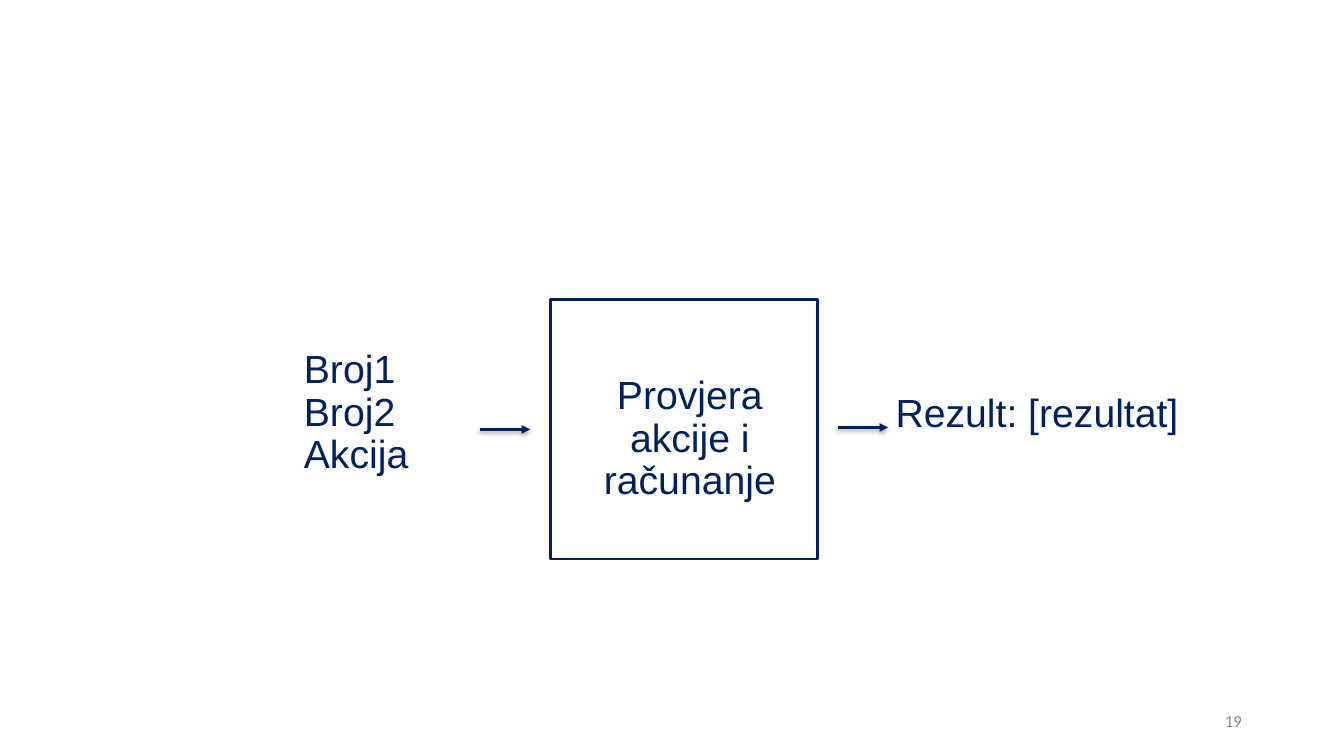
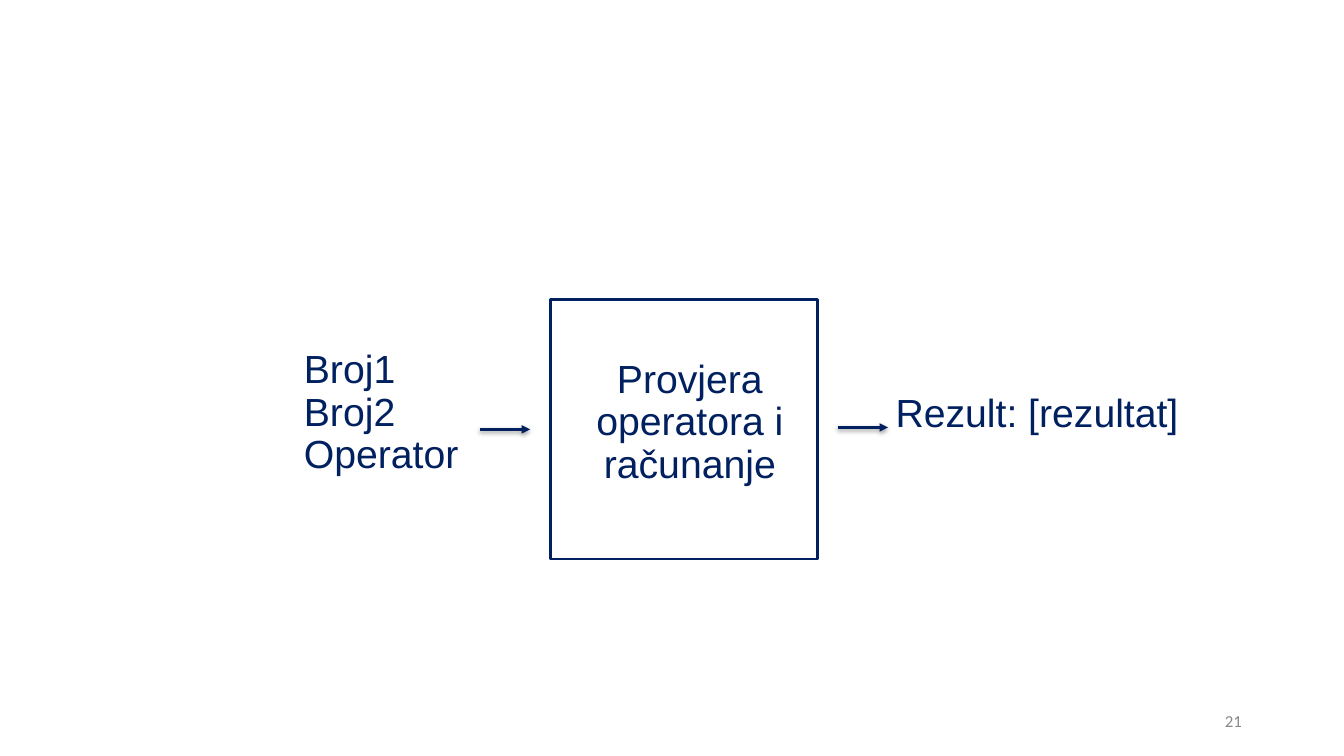
from dataclasses import dataclass

from lxml import etree
from pptx import Presentation
from pptx.dml.color import RGBColor
from pptx.enum.shapes import MSO_CONNECTOR, MSO_SHAPE
from pptx.enum.text import MSO_ANCHOR, PP_ALIGN
from pptx.oxml import parse_xml
from pptx.oxml.ns import nsdecls, qn
from pptx.util import Cm, Pt

LEFT, CENTER, RIGHT = PP_ALIGN.LEFT, PP_ALIGN.CENTER, PP_ALIGN.RIGHT
TOP, MIDDLE = MSO_ANCHOR.TOP, MSO_ANCHOR.MIDDLE
STRAIGHT = MSO_CONNECTOR.STRAIGHT
RECTANGLE = MSO_SHAPE.RECTANGLE


@dataclass(frozen=True)
class Theme:
    navy: RGBColor = RGBColor(0x00, 0x20, 0x60)
    gray: RGBColor = RGBColor(0x88, 0x88, 0x88)
    body_font: str = "Arial"
    number_font: str = "Calibri"
    body_size: Pt = Pt(28)
    number_size: Pt = Pt(12)
    line_width: Pt = Pt(2)
    line_spacing: float = 0.9
    indent: Cm = Cm(0.3)


THEME = Theme()

BOX_LEFT, BOX_TOP, BOX_WIDTH, BOX_HEIGHT = Cm(13.87), Cm(7.54), Cm(6.73), Cm(6.55)
TEXT_HEIGHT = Cm(4.27)
ARROW_LENGTH, ARROW_GAP = Cm(1.27), Cm(0.51)

ARROW_SHADOW = (
    f'<a:effectLst {nsdecls("a")}>'
    '<a:outerShdw blurRad="40000" dist="20000" dir="5400000" rotWithShape="0">'
    '<a:srgbClr val="000000"><a:alpha val="38000"/></a:srgbClr>'
    "</a:outerShdw></a:effectLst>"
)

# Slide number, input lines, process label, top of the process label
DIAGRAMS = [
    ("19", "Broj1\nBroj2\nAkcija", "Provjera akcije i računanje", Cm(9.35)),
    ("21", "Broj1\nBroj2\nOperator", "Provjera operatora i računanje", Cm(8.94)),
]


def add_text(slide, text, left, top, width, height, *, font=THEME.body_font,
             size=THEME.body_size, color=THEME.navy, align=LEFT, anchor=TOP,
             indent=THEME.indent, line_spacing=THEME.line_spacing):
    """Add one paragraph; a newline in the text becomes a line break."""
    frame = slide.shapes.add_textbox(left, top, width, height).text_frame
    frame.word_wrap = True
    frame.vertical_anchor = anchor
    paragraph = frame.paragraphs[0]
    paragraph.text = text
    paragraph.alignment = align
    paragraph.line_spacing = line_spacing
    properties = paragraph._p.get_or_add_pPr()
    properties.set("marL", str(indent))
    properties.set("indent", "0")
    for run in paragraph.runs:
        run.font.name = font
        run.font.size = size
        run.font.color.rgb = color


def style_line(line):
    line.color.rgb = THEME.navy
    line.width = THEME.line_width


def add_process_box(slide):
    shape = slide.shapes.add_shape(RECTANGLE, BOX_LEFT, BOX_TOP, BOX_WIDTH, BOX_HEIGHT)
    shape.shadow.inherit = False
    shape.fill.background()
    style_line(shape.line)


def add_arrow(slide, left, top):
    arrow = slide.shapes.add_connector(STRAIGHT, left, top, left + ARROW_LENGTH, top)
    style_line(arrow.line)
    etree.SubElement(arrow.line._get_or_add_ln(), qn("a:tailEnd"), type="triangle")
    arrow._element.spPr.append(parse_xml(ARROW_SHADOW))


def add_slide_number(slide, number):
    add_text(slide, number, Cm(23.93), Cm(17.65), Cm(7.62), Cm(1.02),
             font=THEME.number_font, size=THEME.number_size, color=THEME.gray,
             align=RIGHT, anchor=MIDDLE, indent=Cm(0), line_spacing=1.0)


def add_diagram_slide(presentation, number, inputs, process, process_top):
    slide = presentation.slides.add_slide(presentation.slide_layouts[6])
    add_slide_number(slide, number)
    add_process_box(slide)
    add_text(slide, inputs, Cm(7.11), Cm(8.69), Cm(6.3), TEXT_HEIGHT)
    add_text(slide, process, BOX_LEFT, process_top, BOX_WIDTH, TEXT_HEIGHT, align=CENTER)
    add_text(slide, "Rezult: [rezultat]", Cm(22.02), Cm(9.8), Cm(9.09), Cm(2.01))
    add_arrow(slide, BOX_LEFT - ARROW_GAP - ARROW_LENGTH, Cm(10.82))
    add_arrow(slide, BOX_LEFT + BOX_WIDTH + ARROW_GAP, Cm(10.77))


def main():
    presentation = Presentation()
    presentation.slide_width = Cm(33.87)
    presentation.slide_height = Cm(19.05)
    for diagram in DIAGRAMS:
        add_diagram_slide(presentation, *diagram)
    presentation.save("out.pptx")


if __name__ == "__main__":
    main()
